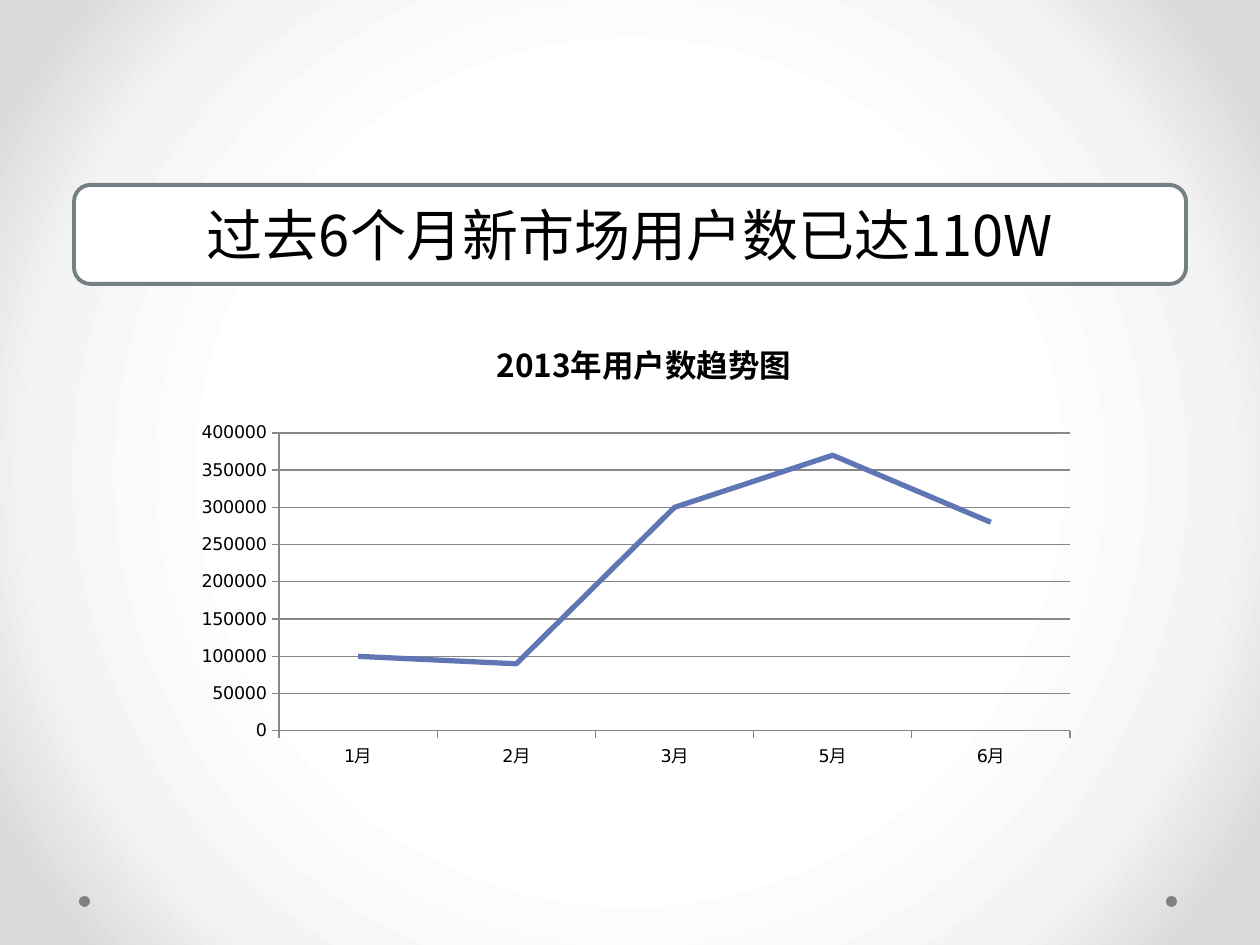
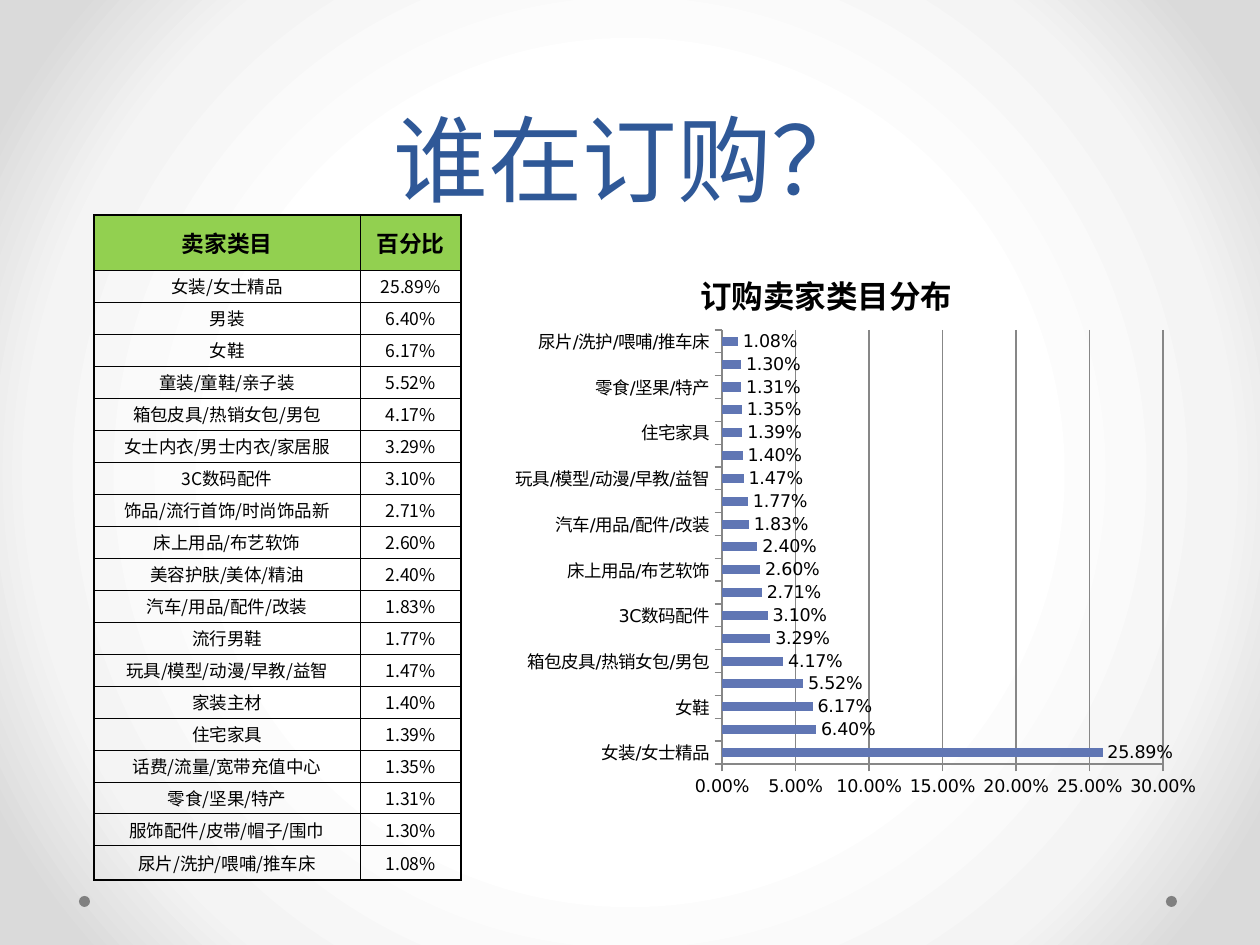
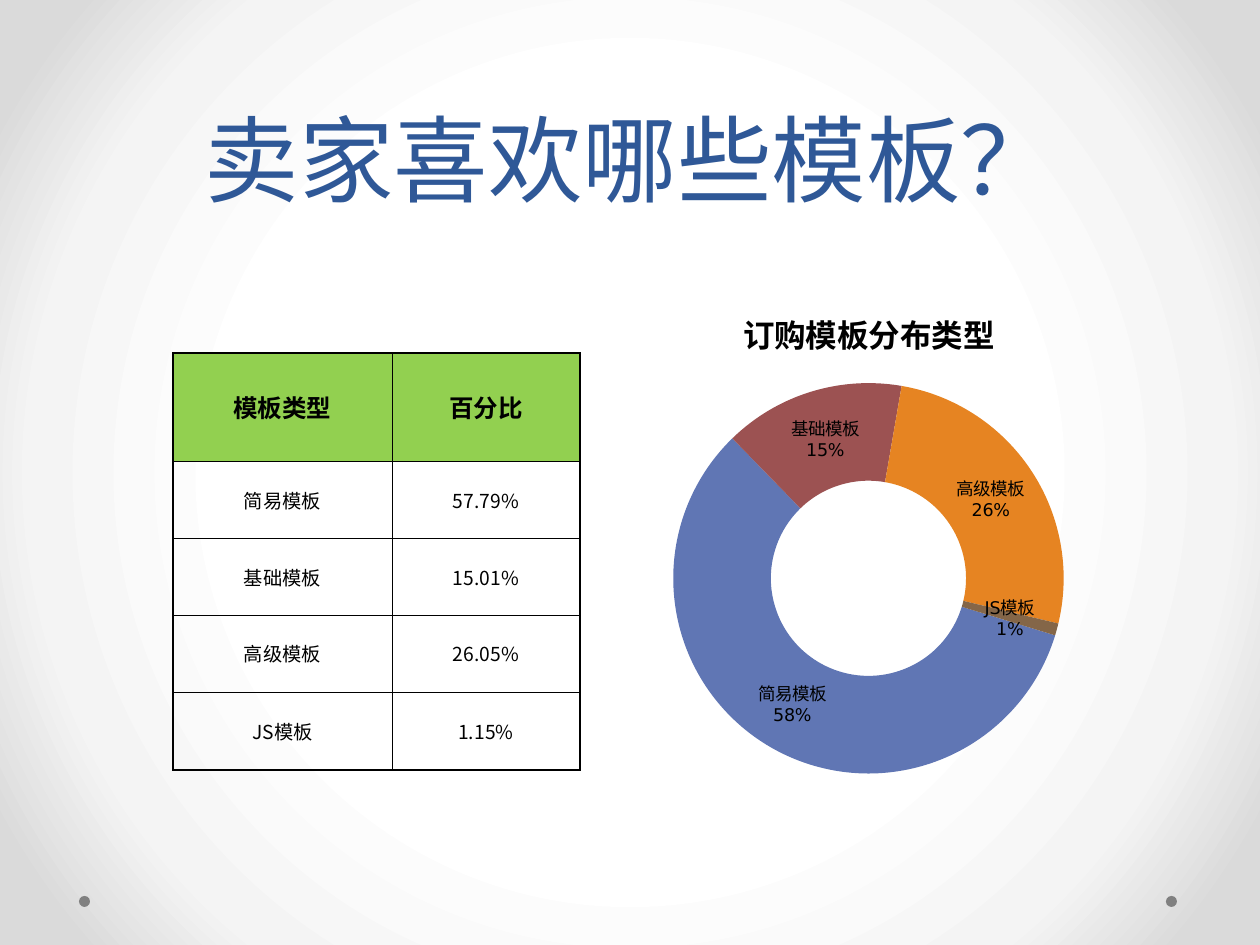
from collections import namedtuple
from dataclasses import dataclass

from lxml import etree
from pptx import Presentation
from pptx.chart.data import CategoryChartData
from pptx.dml.color import RGBColor
from pptx.enum.chart import XL_CHART_TYPE as ChartType
from pptx.enum.chart import XL_LABEL_POSITION as LabelPosition
from pptx.enum.chart import XL_TICK_MARK as TickMark
from pptx.enum.shapes import MSO_SHAPE as Preset
from pptx.enum.text import MSO_ANCHOR as Anchor
from pptx.enum.text import PP_ALIGN as Align
from pptx.oxml import parse_xml
from pptx.oxml.ns import nsdecls, qn
from pptx.util import Emu, Pt

Box = namedtuple("Box", "left top width height")


@dataclass(frozen=True)
class Theme:
    text: str = "000000"
    title: str = "2F5897"
    banner_fill: str = "FFFFFF"
    banner_line: str = "758085"
    dot: str = "808080"
    grid: str = "878787"
    header: str = "92D050"
    series: str = "6076B4"
    slices: tuple = ("6076B4", "9C5252", "E68422", "846648")
    backdrop: tuple = ((50, "FFFFFF"), (76, "F4F4F4"), (92, "DADADA"))
    latin_font: str = "DejaVu Sans"
    chinese_font: str = "Noto Sans CJK SC"
    title_size: int = 54
    title_spacing: int = 58
    banner_size: int = 32
    chart_title_size: int = 18
    chart_size: int = 10


THEME = Theme()
SLIDE_SIZE = (1260, 945)
DOTS = (Box(1166, 896, 11, 11), Box(79, 896, 11, 11))
TITLE_BOX = Box(63, 0, 1134, 221)

MONTHLY_USERS = [("1月", 100000), ("2月", 90000), ("3月", 300000),
                 ("5月", 370000), ("6月", 280000)]
SELLER_SHARES = [
    ("女装/女士精品", 25.89), ("男装", 6.40), ("女鞋", 6.17),
    ("童装/童鞋/亲子装", 5.52), ("箱包皮具/热销女包/男包", 4.17),
    ("女士内衣/男士内衣/家居服", 3.29), ("3C数码配件", 3.10),
    ("饰品/流行首饰/时尚饰品新", 2.71), ("床上用品/布艺软饰", 2.60),
    ("美容护肤/美体/精油", 2.40), ("汽车/用品/配件/改装", 1.83),
    ("流行男鞋", 1.77), ("玩具/模型/动漫/早教/益智", 1.47),
    ("家装主材", 1.40), ("住宅家具", 1.39), ("话费/流量/宽带充值中心", 1.35),
    ("零食/坚果/特产", 1.31), ("服饰配件/皮带/帽子/围巾", 1.30),
    ("尿片/洗护/喂哺/推车床", 1.08),
]
TEMPLATE_SHARES = [("简易模板", 57.79), ("基础模板", 15.01),
                   ("高级模板", 26.05), ("JS模板", 1.15)]


def px(length):
    return Emu(round(length * 914400 / 126))


def place(box):
    return [px(length) for length in box]


def rgb(color):
    return RGBColor.from_string(color)


def style_paragraph(paragraph, size, color=THEME.text, bold=False,
                    latin=THEME.chinese_font):
    paragraph.alignment = Align.CENTER
    font = paragraph.font
    font.size, font.bold, font.name = Pt(size), bold, latin
    font.color.rgb = rgb(color)
    for properties in paragraph._p.iter(qn("a:defRPr")):
        etree.SubElement(properties, qn("a:ea"), typeface=THEME.chinese_font)


def set_backdrop(master):
    """Give every slide the radial gradient through the master."""
    master.background.fill.solid()
    solid = next(master._element.iter(qn("p:bgPr")))[0]
    stops = "".join(
        f'<a:gs pos="{position * 1000}"><a:srgbClr val="{color}"/></a:gs>'
        for position, color in THEME.backdrop)
    gradient = parse_xml(
        f'<a:gradFill {nsdecls("a")} rotWithShape="1"><a:gsLst>{stops}</a:gsLst>'
        '<a:path path="circle"><a:fillToRect l="50000" t="50000" r="50000" b="50000"/>'
        '</a:path></a:gradFill>')
    solid.getparent().replace(solid, gradient)


def add_preset(slide, preset, box, fill):
    shape = slide.shapes.add_shape(preset, *place(box))
    shape.shadow.inherit = False
    shape.fill.solid()
    shape.fill.fore_color.rgb = rgb(fill)
    shape.line.fill.background()
    return shape


def add_slide(presentation):
    slide = presentation.slides.add_slide(presentation.slide_layouts[6])
    for box in DOTS:
        add_preset(slide, Preset.OVAL, box, THEME.dot)
    return slide


def add_title(slide, text, box=TITLE_BOX):
    frame = slide.shapes.add_textbox(*place(box)).text_frame
    frame.word_wrap = True
    frame.vertical_anchor = Anchor.BOTTOM
    paragraph = frame.paragraphs[0]
    paragraph.text = text
    paragraph.line_spacing = Pt(THEME.title_spacing)
    style_paragraph(paragraph, THEME.title_size, THEME.title, latin=THEME.latin_font)


def add_banner(slide, text, box):
    banner = add_preset(slide, Preset.ROUNDED_RECTANGLE, box, THEME.banner_fill)
    banner.line.color.rgb = rgb(THEME.banner_line)
    banner.line.width = Pt(2.25)
    frame = banner.text_frame
    frame.word_wrap = True
    frame.vertical_anchor = Anchor.MIDDLE
    frame.text = text
    style_paragraph(frame.paragraphs[0], THEME.banner_size)


def set_borders(cell, outer_sides):
    """Draw thin black edges, twice as thick on the outside of the table."""
    properties = cell._tc.get_or_add_tcPr()
    for index, side in enumerate("LRTB"):
        width = Pt(1) if side in outer_sides else Pt(0.5)
        properties.insert(index, parse_xml(
            f'<a:ln{side} {nsdecls("a")} w="{width}"><a:solidFill>'
            f'<a:srgbClr val="{THEME.text}"/></a:solidFill></a:ln{side}>'))


def add_share_table(slide, box, heading, shares, columns, heights, sizes):
    """Heights and sizes are pairs: header row, then body rows."""
    rows = [(heading, "百分比")] + [(name, f"{share:.2f}%") for name, share in shares]
    table = slide.shapes.add_table(len(rows), len(columns), *place(box)).table
    table.first_row = table.horz_banding = False
    for column, width in zip(table.columns, columns):
        column.width = px(width)
    last = len(rows) - 1
    last_height = box.height - heights[0] - heights[1] * (last - 1)
    for i, row in enumerate(rows):
        is_header = i == 0
        table.rows[i].height = px(
            heights[0] if is_header else last_height if i == last else heights[1])
        for j, text in enumerate(row):
            cell = table.cell(i, j)
            cell.margin_left = cell.margin_right = 0
            cell.margin_top = cell.margin_bottom = 0
            cell.vertical_anchor = Anchor.MIDDLE
            if is_header:
                cell.fill.solid()
                cell.fill.fore_color.rgb = rgb(THEME.header)
            else:
                cell.fill.background()
            set_borders(cell, "LR"[j] + ("T" if is_header else "B" if i == last else ""))
            cell.text = text
            style_paragraph(cell.text_frame.paragraphs[0],
                            sizes[0] if is_header else sizes[1], bold=is_header)


def add_titled_chart(slide, box, kind, title, points, number_format="General"):
    data = CategoryChartData(number_format=number_format)
    data.categories = [name for name, _ in points]
    data.add_series(title, [value for _, value in points])
    chart = slide.shapes.add_chart(kind, *place(box), data).chart
    chart.font.name = THEME.latin_font
    chart.font.size = Pt(THEME.chart_size)
    chart.font.color.rgb = rgb(THEME.text)
    chart.has_legend = False
    chart.has_title = True
    chart.chart_title.include_in_layout = False
    frame = chart.chart_title.text_frame
    frame.text = title
    style_paragraph(frame.paragraphs[0], THEME.chart_title_size, bold=True)
    return chart


def style_axes(chart, maximum, unit, number_format):
    values = chart.value_axis
    values.minimum_scale, values.maximum_scale = 0, maximum
    values.major_unit = unit
    values.has_major_gridlines = True
    values.tick_labels.number_format = number_format
    values.tick_labels.number_format_is_linked = False
    chart.category_axis.has_major_gridlines = False
    for axis in (values, chart.category_axis):
        axis.major_tick_mark = TickMark.OUTSIDE
        axis.minor_tick_mark = TickMark.NONE
    for part in (values, chart.category_axis, values.major_gridlines):
        part.format.line.color.rgb = rgb(THEME.grid)
        part.format.line.width = Pt(0.75)


def set_plot_area(chart, box, plot_box):
    """Fix the inner plot area, given in px from the corner of the chart box."""
    plot_area = chart._chartSpace.chart.plotArea
    for layout in plot_area.findall(qn("c:layout")):
        plot_area.remove(layout)
    sides = (box.width, box.height) * 2
    sizes = "".join(f'<c:{name} val="{length / side:.4f}"/>'
                    for name, length, side in zip("xywh", plot_box, sides))
    plot_area.insert(0, parse_xml(
        f'<c:layout {nsdecls("c")}><c:manualLayout><c:layoutTarget val="inner"/>'
        f'<c:xMode val="edge"/><c:yMode val="edge"/>{sizes}'
        '</c:manualLayout></c:layout>'))


def add_trend_chart(slide, box):
    chart = add_titled_chart(slide, box, ChartType.LINE, "2013年用户数趋势图", MONTHLY_USERS)
    chart.plots[0].vary_by_categories = False
    series = chart.plots[0].series[0]
    series.smooth = False
    series.format.line.color.rgb = rgb(THEME.series)
    series.format.line.width = Pt(3)
    style_axes(chart, 400000, 50000, "General")
    set_plot_area(chart, box, Box(95, 119, 791, 298))


def add_seller_chart(slide, box):
    points = [(name, round(share / 100, 4)) for name, share in SELLER_SHARES]
    chart = add_titled_chart(slide, box, ChartType.BAR_CLUSTERED, "订购卖家类目分布",
                             points, "0.00%")
    plot = chart.plots[0]
    plot.vary_by_categories = False
    plot.gap_width = 150
    series = plot.series[0]
    series.format.fill.solid()
    series.format.fill.fore_color.rgb = rgb(THEME.series)
    labels = series.data_labels
    labels.show_value = True
    labels.position = LabelPosition.OUTSIDE_END
    labels.number_format = "0.00%"
    labels.number_format_is_linked = False
    style_axes(chart, 0.3, 0.05, "0.00%")
    set_plot_area(chart, box, Box(281, 86, 441, 434))


def add_template_chart(slide, box):
    points = [(name, round(share)) for name, share in TEMPLATE_SHARES]
    chart = add_titled_chart(slide, box, ChartType.DOUGHNUT, "订购模板分布类型", points)
    plot = chart.plots[0]
    plot.vary_by_categories = True
    plot._element.find(qn("c:firstSliceAng")).set("val", "107")
    plot._element.find(qn("c:holeSize")).set("val", "50")
    series = plot.series[0]
    for index, color in enumerate(THEME.slices):
        fill = series.points[index].format.fill
        fill.solid()
        fill.fore_color.rgb = rgb(color)
    labels = series.data_labels
    labels.show_value = False
    labels.show_category_name = labels.show_percentage = True
    labels.number_format = "0%"
    labels.number_format_is_linked = False
    separator = parse_xml(f'<c:separator {nsdecls("c")}>\n</c:separator>')
    labels._element.find(qn("c:showBubbleSize")).addnext(separator)


def build_trend_slide(presentation):
    slide = add_slide(presentation)
    add_banner(slide, "过去6个月新市场用户数已达110W", Box(74, 185, 1112, 99))
    add_trend_chart(slide, Box(184, 314, 920, 507))


def build_seller_slide(presentation):
    slide = add_slide(presentation)
    add_title(slide, "谁在订购？")
    add_share_table(slide, Box(94, 215, 367, 665), "卖家类目", SELLER_SHARES,
                    columns=(266, 101), heights=(55, 32), sizes=(13, 10))
    add_seller_chart(slide, Box(441, 244, 771, 588))


def build_template_slide(presentation):
    slide = add_slide(presentation)
    add_title(slide, "卖家喜欢哪些模板？")
    add_template_chart(slide, Box(590, 284, 558, 507))
    add_share_table(slide, Box(173, 353, 407, 417), "模板类型", TEMPLATE_SHARES,
                    columns=(219, 188), heights=(108, 77), sizes=(14, 11))


def main():
    presentation = Presentation()
    presentation.slide_width, presentation.slide_height = place(SLIDE_SIZE)
    set_backdrop(presentation.slide_master)
    build_trend_slide(presentation)
    build_seller_slide(presentation)
    build_template_slide(presentation)
    presentation.save("out.pptx")


if __name__ == "__main__":
    main()
